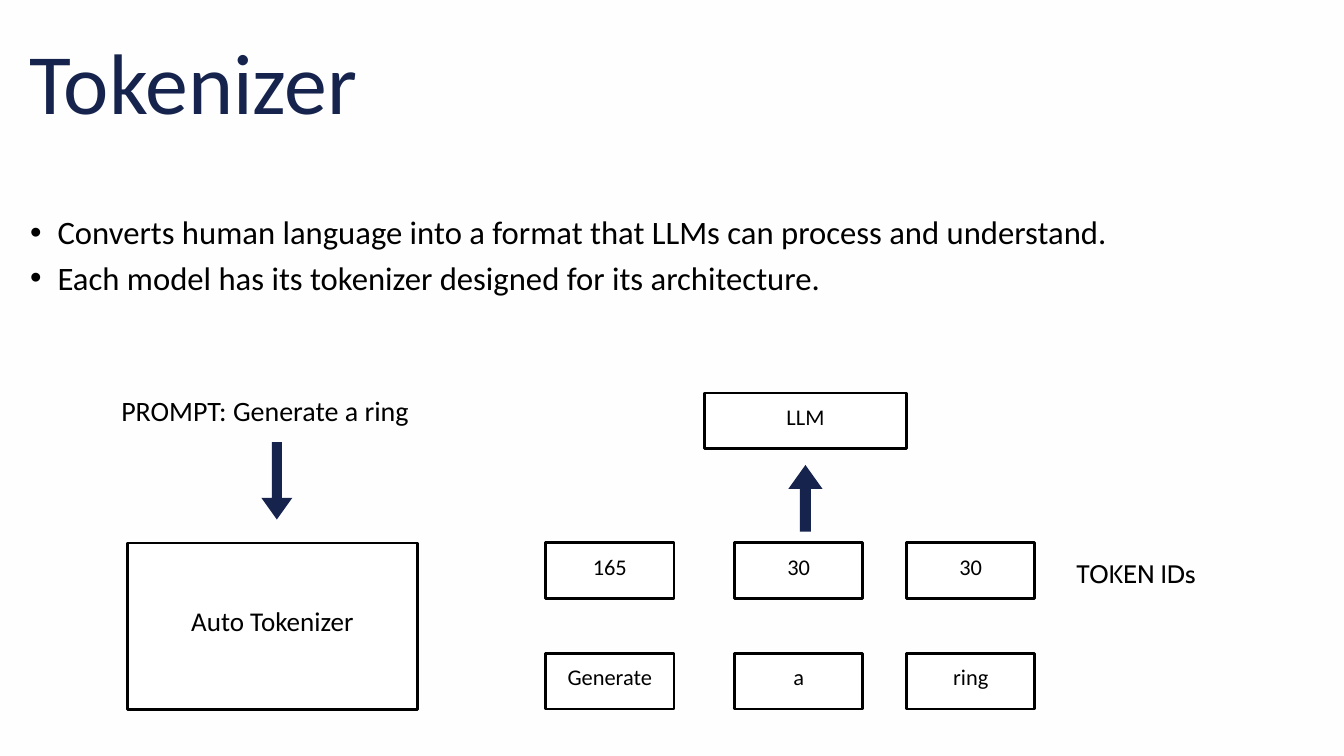
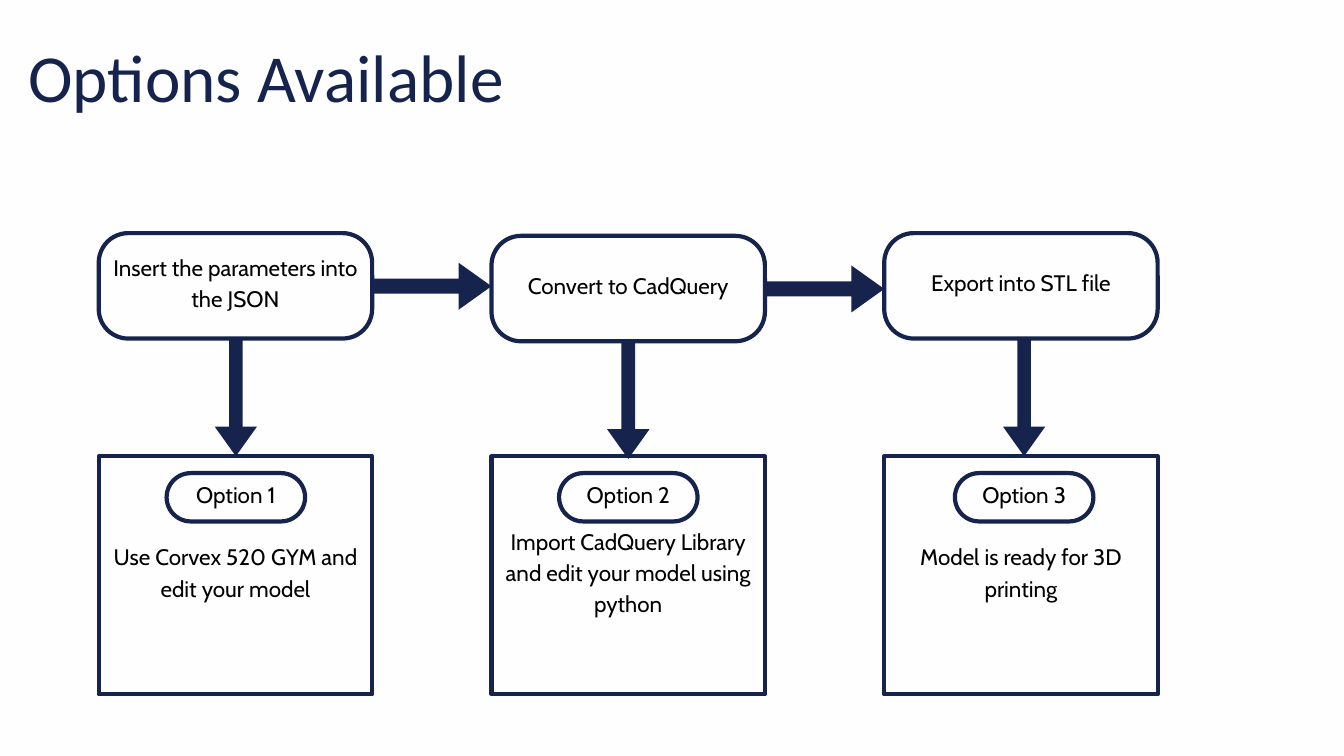
from dataclasses import dataclass

from lxml.etree import SubElement
from pptx import Presentation
from pptx.dml.color import RGBColor
from pptx.enum.shapes import MSO_SHAPE
from pptx.enum.text import MSO_ANCHOR, MSO_AUTO_SIZE, PP_ALIGN
from pptx.oxml.ns import qn
from pptx.presentation import Presentation as Deck
from pptx.shapes.autoshape import Shape
from pptx.slide import Slide
from pptx.text.text import TextFrame
from pptx.util import Pt

COLORS = {"background": "FEFEFE", "navy": "16244D", "black": "000000", "white": "FFFFFF"}
BODY_FONT = "Calibri"
FLOW_FONT = "Cabin"
LINE_FACTOR = 1.4
TITLE_ONLY = 5


@dataclass
class Area:
    left: float
    top: float
    width: float
    height: float

    def lengths(self) -> tuple[Pt, Pt, Pt, Pt]:
        return Pt(self.left), Pt(self.top), Pt(self.width), Pt(self.height)


@dataclass
class TextStyle:
    size: float
    font: str = BODY_FONT
    color: str = "black"
    alignment: PP_ALIGN = PP_ALIGN.CENTER
    line_factor: float = LINE_FACTOR


@dataclass
class BoxStyle:
    """Look of an outlined box; text_rise is the extra room kept below its text."""
    text: TextStyle
    fill: str
    line: str
    line_width: float
    text_rise: float
    kind: MSO_SHAPE = MSO_SHAPE.RECTANGLE
    corner: float = 0


@dataclass
class Box:
    area: Area
    text: str
    style: BoxStyle


@dataclass
class Arrow:
    area: Area
    kind: MSO_SHAPE


TOKEN_STYLE = BoxStyle(TextStyle(24), "white", "black", 3, 14.4)
TOKENIZER_STYLE = BoxStyle(TextStyle(29), "white", "black", 3, 17.2)
FLOW_TEXT = TextStyle(24, FLOW_FONT)
CARD_STYLE = BoxStyle(FLOW_TEXT, "background", "navy", 4.5, 11.2)
STEP_STYLE = BoxStyle(FLOW_TEXT, "background", "navy", 4.5, 11.2,
                      MSO_SHAPE.ROUNDED_RECTANGLE, 0.28)
PILL_STYLE = BoxStyle(FLOW_TEXT, "background", "navy", 4.5, 11.2,
                      MSO_SHAPE.ROUNDED_RECTANGLE, 0.5)


def rgb(name: str) -> RGBColor:
    return RGBColor.from_string(COLORS[name])


def write_text(text_frame: TextFrame, text: str, style: TextStyle, bullets: bool = False) -> None:
    text_frame.text = text
    text_frame.word_wrap = True
    text_frame.auto_size = MSO_AUTO_SIZE.NONE
    text_frame.margin_left = text_frame.margin_right = 0
    text_frame.margin_top = text_frame.margin_bottom = 0
    for paragraph in text_frame.paragraphs:
        if bullets:
            properties = paragraph._p.get_or_add_pPr()
            properties.set("marL", str(Pt(59.5)))
            properties.set("indent", str(Pt(-29.5)))
            SubElement(properties, qn("a:buFont")).set("typeface", "Arial")
            SubElement(properties, qn("a:buChar")).set("char", "•")
        paragraph.alignment = style.alignment
        paragraph.line_spacing = Pt(style.size * style.line_factor)
        for run in paragraph.runs:
            run.font.size = Pt(style.size)
            run.font.name = style.font
            run.font.color.rgb = rgb(style.color)


def add_titled_slide(presentation: Deck, title: str, area: Area, style: TextStyle) -> Slide:
    slide = presentation.slides.add_slide(presentation.slide_layouts[TITLE_ONLY])
    placeholder = slide.shapes.title
    placeholder.left, placeholder.top, placeholder.width, placeholder.height = area.lengths()
    write_text(placeholder.text_frame, title, style)
    placeholder.text_frame.vertical_anchor = MSO_ANCHOR.TOP
    return slide


def add_label(slide: Slide, area: Area, text: str, style: TextStyle, bullets: bool = False) -> None:
    write_text(slide.shapes.add_textbox(*area.lengths()).text_frame, text, style, bullets)


def add_filled_shape(slide: Slide, kind: MSO_SHAPE, area: Area, fill: str) -> Shape:
    shape = slide.shapes.add_shape(kind, *area.lengths())
    shape.shadow.inherit = False
    shape.fill.solid()
    shape.fill.fore_color.rgb = rgb(fill)
    return shape


def add_box(slide: Slide, box: Box) -> None:
    style = box.style
    shape = add_filled_shape(slide, style.kind, box.area, style.fill)
    shape.line.color.rgb = rgb(style.line)
    shape.line.width = Pt(style.line_width)
    if style.corner:
        shape.adjustments[0] = style.corner
    write_text(shape.text_frame, box.text, style.text)
    shape.text_frame.vertical_anchor = MSO_ANCHOR.MIDDLE
    shape.text_frame.margin_bottom = Pt(style.text_rise)


def add_arrow(slide: Slide, arrow: Arrow) -> None:
    shape = add_filled_shape(slide, arrow.kind, arrow.area, "navy")
    shape.line.fill.background()
    shape.adjustments[0] = 0.32
    shape.adjustments[1] = 0.7


def build_tokenizer_slide(presentation: Deck) -> None:
    slide = add_titled_slide(presentation, "Tokenizer", Area(31.7, 12.2, 466, 123),
                             TextStyle(92, color="navy", alignment=PP_ALIGN.LEFT))
    boxes = [
        Box(Area(136.8, 581.8, 310.3, 178.6), "Auto Tokenizer", TOKENIZER_STYLE),
        Box(Area(754.6, 421.2, 216.7, 59.8), "LLM", TOKEN_STYLE),
    ]
    token_columns = (584.6, 787, 971.3)
    token_rows = {581.5: ("165", "30", "30"), 699.8: ("Generate", "a", "ring")}
    for top, texts in token_rows.items():
        for left, text in zip(token_columns, texts):
            boxes.append(Box(Area(left, top, 137.5, 59.8), text, TOKEN_STYLE))
    for box in boxes:
        add_box(slide, box)

    add_arrow(slide, Arrow(Area(280.1, 473.8, 33.1, 82.8), MSO_SHAPE.DOWN_ARROW))
    add_arrow(slide, Arrow(Area(844.6, 498.2, 36.7, 71.3), MSO_SHAPE.UP_ARROW))
    add_label(slide, Area(102, 415.4, 364, 41), "PROMPT: Generate a ring", TextStyle(30))
    add_label(slide, Area(1145.5, 593.3, 143.3, 36.7), "TOKEN IDs", TextStyle(27, FLOW_FONT))
    points = ("Converts human language into a format that LLMs can process and understand.",
              "Each model has its tokenizer designed for its architecture.")
    add_label(slide, Area(2.2, 220.3, 1437, 95.8), "\n".join(points),
              TextStyle(35, alignment=PP_ALIGN.LEFT), bullets=True)


def build_options_slide(presentation: Deck) -> None:
    slide = add_titled_slide(presentation, "Options Available", Area(30.2, 42.5, 993.6, 81.4),
                             TextStyle(72, color="navy", alignment=PP_ALIGN.LEFT,
                                       line_factor=1.13))
    first_left, column_step, column_width = 105.8, 420.8, 293
    step_height, card_top, arrow_length = 113, 489, 126
    step_tops = (249.8, 252.7, 249.8)
    option_centers = (252.7, 673.2, 1097.3)
    steps = ("Insert the parameters into the JSON", "Convert to CadQuery", "Export into STL file")
    cards = ("Use Corvex 520 GYM and edit your model",
             "Import CadQuery Library and edit your model using python",
             "Model is ready for 3D printing")

    columns = zip(step_tops, option_centers, steps, cards)
    for index, (step_top, center, step, card) in enumerate(columns):
        left = first_left + index * column_step
        add_box(slide, Box(Area(left, step_top, column_width, step_height), step, STEP_STYLE))
        add_box(slide, Box(Area(left, card_top, column_width, 255), card, CARD_STYLE))
        add_box(slide, Box(Area(center - 74.2, 506.9, 148.4, 51.8),
                           f"Option {index + 1}", PILL_STYLE))
        add_arrow(slide, Arrow(Area(center - 22.7, step_top + step_height, 45.4, arrow_length),
                               MSO_SHAPE.DOWN_ARROW))
        if index < len(steps) - 1:
            add_arrow(slide, Arrow(Area(left + column_width, step_top + 31.7,
                                        column_step - column_width, 50.4),
                                   MSO_SHAPE.RIGHT_ARROW))


def main() -> None:
    presentation = Presentation()
    presentation.slide_width, presentation.slide_height = Pt(1440), Pt(810)
    background = presentation.slide_master.background.fill
    background.solid()
    background.fore_color.rgb = rgb("background")
    build_tokenizer_slide(presentation)
    build_options_slide(presentation)
    presentation.save("out.pptx")


if __name__ == "__main__":
    main()
